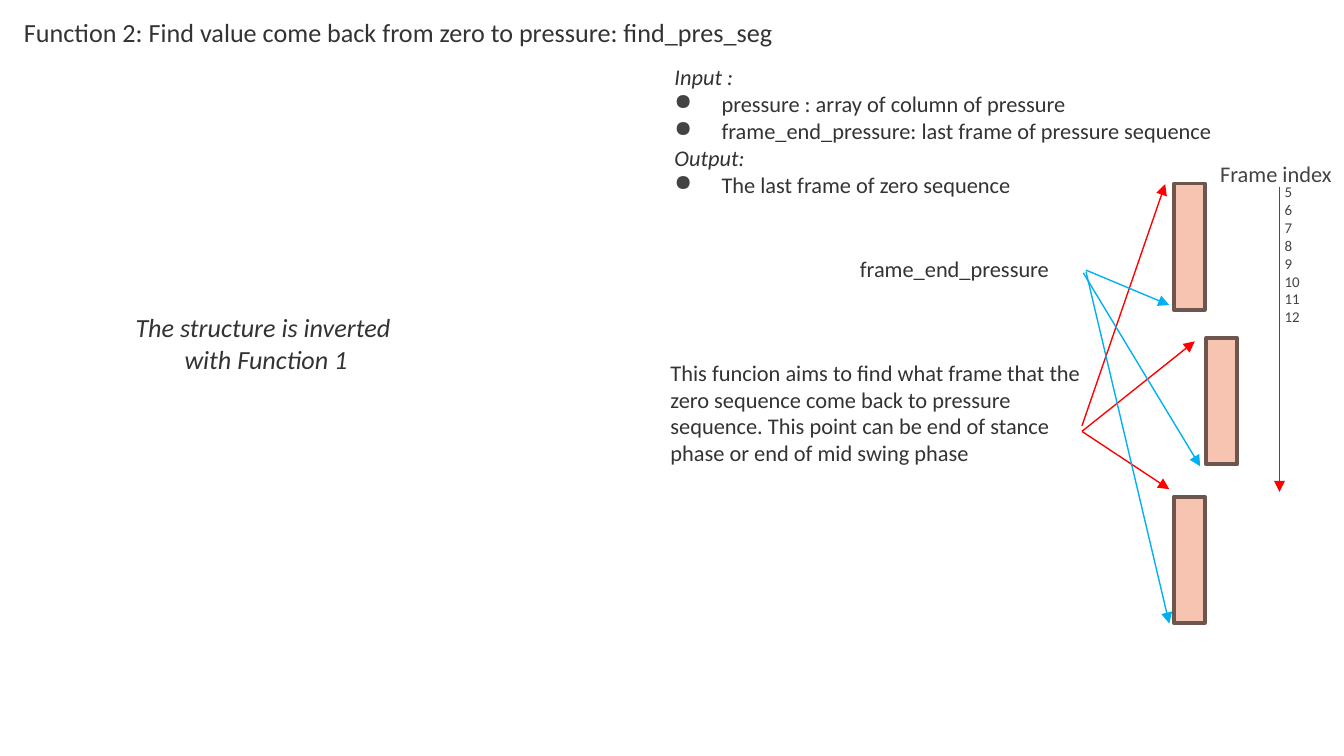
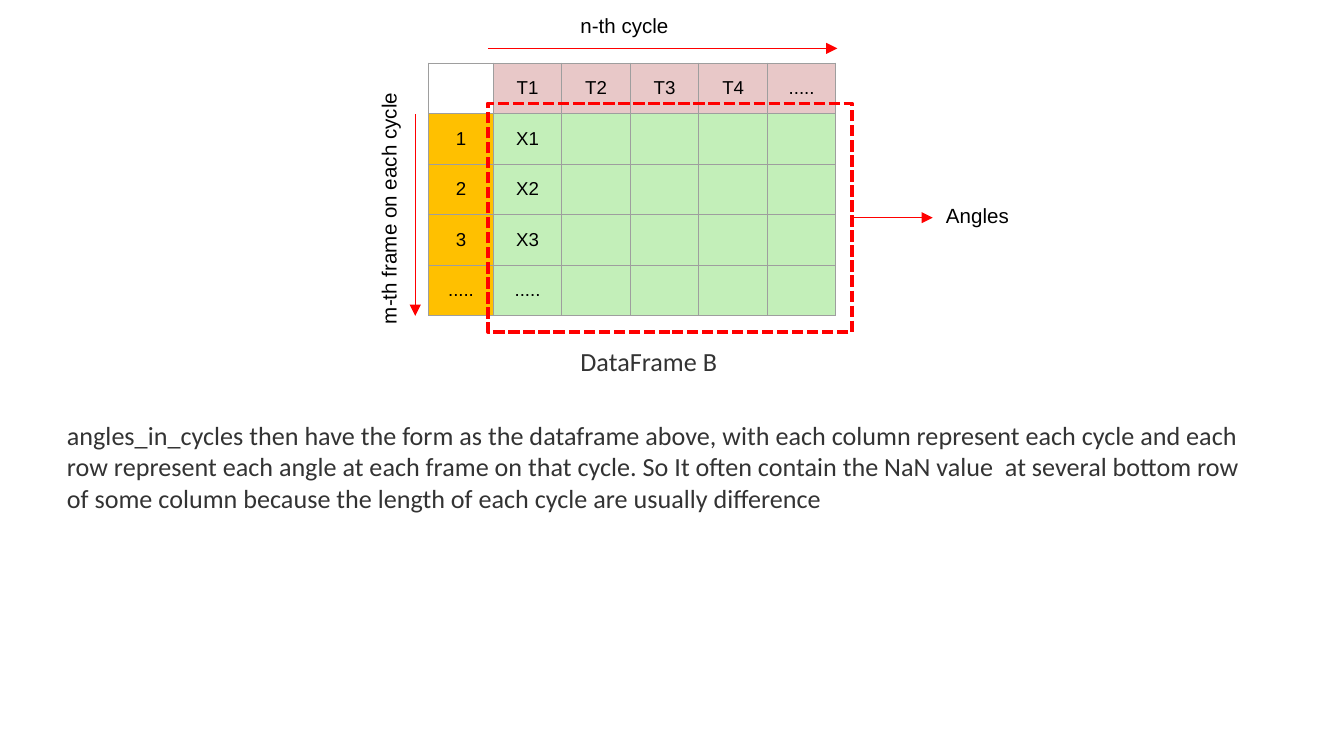
from pptx import Presentation
from pptx.dml.color import RGBColor
from pptx.enum.dml import MSO_LINE
from pptx.enum.shapes import MSO_CONNECTOR, MSO_SHAPE
from pptx.enum.text import MSO_ANCHOR, MSO_AUTO_SIZE, PP_ALIGN
from pptx.oxml import parse_xml
from pptx.oxml.ns import nsdecls, qn
from pptx.util import Pt

PX = 9144  # 100 px to the inch
COLORS = {
    "text": "333333", "grey": "434343", "black": "000000",
    "red": "FF0000", "blue": "00B0F0",
    "bar": "F7C4B1", "bar_line": "6C564E",
    "header": "E8C8C8", "index": "FFC000", "value": "C3EFB9", "border": "9E9E9E",
}
RGB = {name: RGBColor.from_string(code) for name, code in COLORS.items()}


def add_text(page, place, lines, size, font="Calibri", color="text",
             label=False, italic=(), bullets=(), align=None):
    """Labels fit their text; other boxes have even insets and an indent."""
    box = page.shapes.add_textbox(*[n * PX for n in place])
    frame = box.text_frame
    frame.word_wrap = True
    if label:
        frame.auto_size = MSO_AUTO_SIZE.SHAPE_TO_FIT_TEXT
    else:
        frame.margin_top = frame.margin_bottom = 10 * PX
    frame.text = "\n".join(lines)
    for number, para in enumerate(frame.paragraphs):
        para.alignment = align
        props = para._p.get_or_add_pPr()
        if number in bullets:
            props.set("marL", str(50 * PX))
            props.set("indent", str(-35 * PX))
            props.append(parse_xml(f'<a:buClr {nsdecls("a")}><a:srgbClr val="{COLORS["grey"]}"/></a:buClr>'))
            props.append(parse_xml(f'<a:buChar {nsdecls("a")} char="●"/>'))
        elif not label:
            props.set("marL", str(15 * PX))
            props.set("indent", "0")
        for span in para.runs:
            span.font.name = font
            span.font.size = Pt(size)
            span.font.italic = number in italic
            span.font.color.rgb = RGB[color]
    return box


def add_arrow(page, start, end, color="red"):
    arrow = page.shapes.add_connector(
        MSO_CONNECTOR.STRAIGHT, *[n * PX for n in start + end])
    arrow.line.color.rgb = RGB[color]
    arrow.line.width = Pt(0.75)
    props = arrow._element.spPr
    props.find(qn("a:ln")).append(parse_xml(f'<a:tailEnd {nsdecls("a")} type="triangle"/>'))
    props.append(parse_xml(f'<a:effectLst {nsdecls("a")}/>'))


deck = Presentation()
deck.slide_width = 1000 * PX
deck.slide_height = deck.slide_width * 9 // 16
blank = deck.slide_layouts[6]

# Slide 1: function 2
page = deck.slides.add_slide(blank)
add_text(page, (477, 37, 452, 116), [
    "Input :",
    "pressure : array of column of pressure",
    "frame_end_pressure: last frame of pressure sequence",
    "Output:",
    "The last frame of zero sequence",
], 12, italic=(0, 3), bullets=(1, 2, 4))

# Pressure sequences
for left, top in ((838, 172), (862, 287), (838, 405)):
    bar = page.shapes.add_shape(
        MSO_SHAPE.RECTANGLE, left * PX, top * PX, 94 * PX, 23 * PX)
    bar.rotation = 270
    bar.shadow.inherit = False
    bar.fill.solid()
    bar.fill.fore_color.rgb = RGB["bar"]
    bar.line.color.rgb = RGB["bar_line"]
    bar.line.width = Pt(2)

# Frame axis
add_arrow(page, (952, 139), (952, 366))
add_text(page, (883, 109, 146, 39), ["Frame index"], 12, color="grey")
add_text(page, (931, 126, 146, 39), [str(n) for n in range(5, 13)], 8, color="grey")

# Explanations and title
add_text(page, (474, 257, 348, 109), [
    "This funcion aims to find what frame that the zero sequence come back to "
    "pressure sequence. This point can be end of stance phase or end of mid swing phase"], 12)
add_text(page, (-7, 2, 638, 53),
         ["Function 2: Find value come back from zero to pressure: find_pres_seg"], 14)
add_text(page, (630, 185, 197, 30), ["frame_end_pressure"], 12, label=True)
add_text(page, (-59, 222, 499, 53), ["The structure is inverted ", "with Function 1"],
         14, italic=(0, 1), align=PP_ALIGN.CENTER)

# Arrows to the start and end of each sequence
for start, end, color in (
    ((805, 317), (867, 137), "red"),
    ((805, 321), (870, 364), "red"),
    ((805, 321), (889, 254), "red"),
    ((808, 201), (870, 227), "blue"),
    ((806, 203), (893, 347), "blue"),
    ((808, 202), (870, 464), "blue"),
):
    add_arrow(page, start, end, color)

# Slide 2: layout of the data frame
page = deck.slides.add_slide(blank)
rows = [
    ["", "T1", "T2", "T3", "T4", "....."],
    ["1", "X1", "", "", "", ""],
    ["2", "X2", "", "", "", ""],
    ["3", "X3", "", "", "", ""],
    [".....", ".....", "", "", "", ""],
]
table = page.shapes.add_table(5, 6, 319 * PX, 47 * PX, 303 * PX, 190 * PX).table
for number, column in enumerate(table.columns):
    column.width = (51 if number else 48) * PX
for row in table.rows:
    row.height = 188 * PX // 5
for r, words in enumerate(rows):
    for c, word in enumerate(words):
        cell = table.cell(r, c)
        cell.margin_top = cell.margin_bottom = 0
        cell.vertical_anchor = MSO_ANCHOR.MIDDLE
        for side in ("lnL", "lnR", "lnT", "lnB"):
            cell._tc.get_or_add_tcPr().append(parse_xml(
                f'<a:{side} {nsdecls("a")} w="{Pt(0.75)}"><a:solidFill>'
                f'<a:srgbClr val="{COLORS["border"]}"/></a:solidFill></a:{side}>'))
        if r == c == 0:
            cell.fill.background()
        else:
            cell.fill.solid()
            cell.fill.fore_color.rgb = RGB["header" if r == 0 else "value" if c else "index"]
        if word:
            cell.text = word
            para = cell.text_frame.paragraphs[0]
            para.alignment = PP_ALIGN.CENTER
            font = para.runs[0].font
            font.name, font.size, font.bold = "Arial", Pt(10), False
            font.color.rgb = RGB["black"]

# Dashed frame around the angles
outline = page.shapes.add_shape(
    MSO_SHAPE.RECTANGLE, 363 * PX, 77 * PX, 271 * PX, 170 * PX)
outline.shadow.inherit = False
outline.fill.background()
outline.line.color.rgb = RGB["red"]
outline.line.width = Pt(2)
outline.line.dash_style = MSO_LINE.SQUARE_DOT

# Axes and labels
for start, end in (((363, 36), (623, 36)), ((309, 85), (309, 235)), ((634, 162), (694, 162))):
    add_arrow(page, start, end)
for left, top, word, turn in (
    (154, 101, "m-th frame on each cycle", 270),
    (422, 5, "n-th cycle", 0),
    (694, 146, "Angles", 0),
):
    box = add_text(page, (left, top, 271, 29), [word], 11, "Arial", "black", label=True)
    box.rotation = turn

# Caption and description
add_text(page, (407, 247, 188, 51), ["DataFrame B"], 14)
add_text(page, (25, 302, 917, 82), [
    "angles_in_cycles then have the form as the dataframe above, with each column "
    "represent each cycle and each row represent each angle at each frame on that cycle. "
    "So It often contain the NaN value  at several bottom row of some column because "
    "the length of each cycle are usually difference"], 14)

deck.save("out.pptx")
